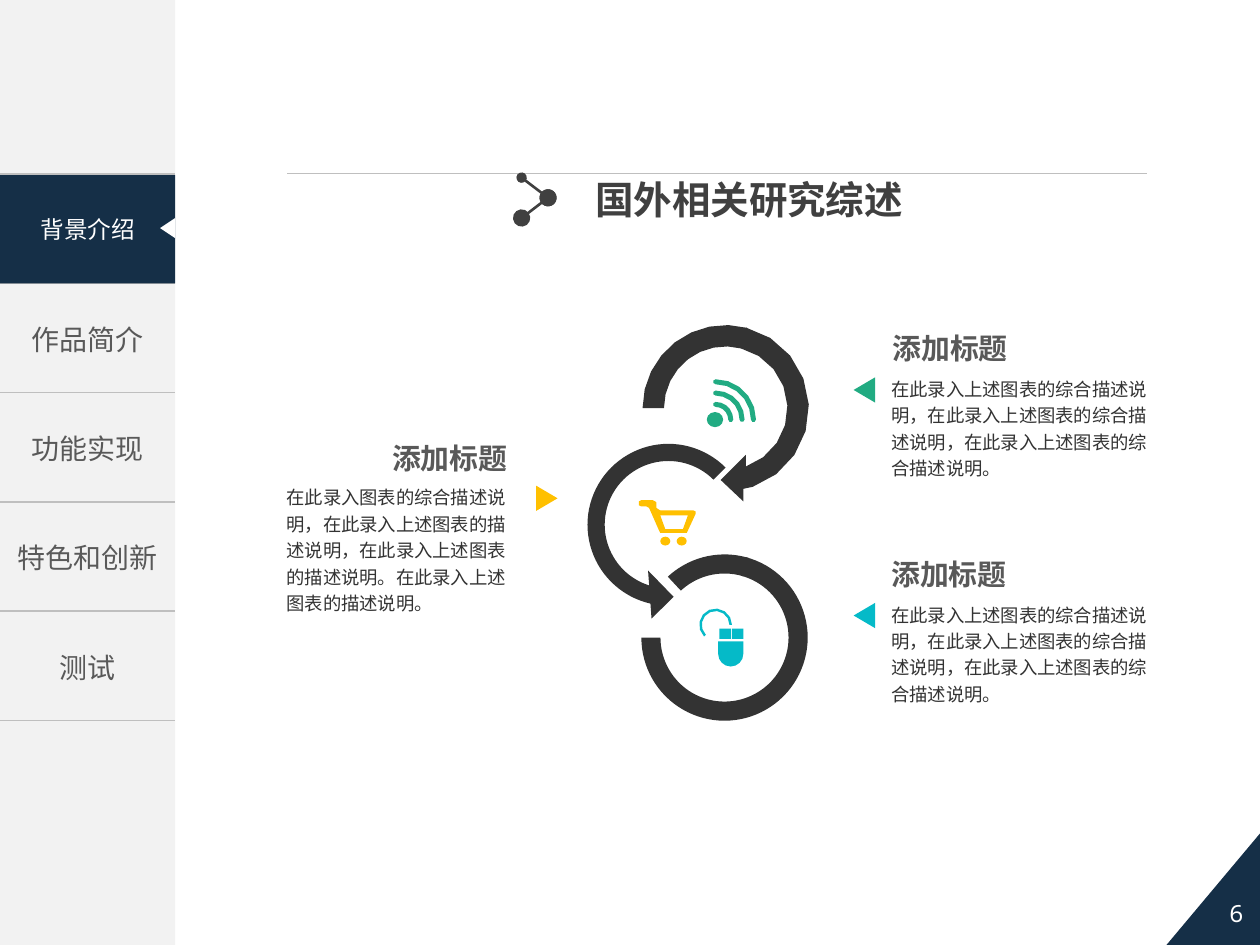
import math

import pptx
import pptx.dml.color
import pptx.enum.shapes
import pptx.enum.text
import pptx.oxml.ns
import pptx.util
from lxml import etree

Inches = pptx.util.Inches
Pt = pptx.util.Pt
RGBColor = pptx.dml.color.RGBColor
Kind = pptx.enum.shapes.MSO_SHAPE
Align = pptx.enum.text.PP_ALIGN
Anchor = pptx.enum.text.MSO_ANCHOR
qn = pptx.oxml.ns.qn

NAVY = RGBColor(0x15, 0x2F, 0x47)
WHITE = RGBColor(0xFF, 0xFF, 0xFF)
PALE = RGBColor(0xF2, 0xF2, 0xF2)
RULE = RGBColor(0xBF, 0xBF, 0xBF)
GREY = RGBColor(0x59, 0x59, 0x59)
DARK = RGBColor(0x40, 0x40, 0x40)
INK = RGBColor(0x33, 0x33, 0x33)
GREEN = RGBColor(0x21, 0xAB, 0x82)
TEAL = RGBColor(0x05, 0xBA, 0xC8)
GOLD = RGBColor(0xFF, 0xC0, 0x00)
FONT = "Noto Sans CJK SC"
SIDE = 1.39
MENU = ["", "作品简介", "功能实现", "特色和创新", "测试"]
LONG = "在此录入上述图表的综合描述说明，在此录入上述图表的综合描述说明，在此录入上述图表的综合描述说明。"
MIXED = ("在此录入图表的综合描述说明，在此录入上述图表的描述说明，"
         "在此录入上述图表的描述说明。在此录入上述图表的描述说明。")


def write(frame, text, size=10.5, color=INK, bold=False, font=FONT,
          align=Align.LEFT, space=None):
    par = frame.paragraphs[0]
    par.alignment = align
    par.line_spacing = space
    run = par.add_run()
    run.text = text
    run.font.size = Pt(size)
    run.font.bold = bold
    run.font.name = font
    run.font.color.rgb = color
    east = etree.SubElement(run.font._element, qn("a:ea"))
    east.set("typeface", FONT)


def inset(frame):
    frame.margin_left = frame.margin_right = Pt(5.4)
    frame.margin_top = frame.margin_bottom = Pt(2.7)


def label(slide, box, text, wrap=True, **style):
    frame = slide.shapes.add_textbox(*map(Inches, box)).text_frame
    inset(frame)
    frame.word_wrap = wrap
    write(frame, text, **style)


def paint(item, color):
    item.shadow.inherit = False
    item.line.fill.background()
    if color is None:
        item.fill.background()
    else:
        item.fill.solid()
        item.fill.fore_color.rgb = color
    return item


def shape(slide, kind, box, color, turn=0, flip=False, adjust=()):
    item = paint(slide.shapes.add_shape(kind, *map(Inches, box)), color)
    item.rotation = turn
    if flip:
        item.element.spPr.get_or_add_xfrm().set("flipH", "1")
    for i, value in enumerate(adjust):
        item.adjustments[i] = value
    return item


def outline(slide, color, *loops):
    """Draw one filled freeform from closed loops of points."""
    loops = [[(Inches(x), Inches(y)) for x, y in loop] for loop in loops]
    pen = slide.shapes.build_freeform(*loops[0][0], scale=1.0)
    for i, loop in enumerate(loops):
        if i:
            pen.move_to(*loop[0])
        pen.add_line_segments(loop[1:], close=True)
    paint(pen.convert_to_shape(), color)


def arc(x, y, r, start, end, steps=8):
    """Points on a circle; angles in degrees, clockwise from the right."""
    turns = [math.radians(start + (end - start) * i / steps)
             for i in range(steps + 1)]
    return [(x + r * math.cos(t), y + r * math.sin(t)) for t in turns]


def band(x, y, outer, inner, start, end, tip=()):
    return arc(x, y, outer, start, end) + list(tip) + arc(x, y, inner, end, start)


def line(slide, start, end, color, width, ends=None):
    item = slide.shapes.add_connector(
        pptx.enum.shapes.MSO_CONNECTOR.STRAIGHT, *map(Inches, start + end))
    item.line.color.rgb = color
    item.line.width = Pt(width)
    for tag, size in zip(("a:headEnd", "a:tailEnd"), ends or ()):
        dot = etree.SubElement(item.line._get_or_add_ln(), qn(tag))
        dot.set("type", "oval")
        dot.set("w", size)
        dot.set("len", size)
    etree.SubElement(item.element.spPr, qn("a:effectLst"))


def border(cell):
    props = cell._tc.get_or_add_tcPr()
    for side in "LRTB":
        edge = etree.SubElement(props, qn("a:ln" + side))
        if side in "LR":
            etree.SubElement(edge, qn("a:noFill"))
        else:
            edge.set("w", str(Pt(1)))
            fill = etree.SubElement(edge, qn("a:solidFill"))
            etree.SubElement(fill, qn("a:srgbClr")).set("val", str(RULE))


def menu(slide):
    shape(slide, Kind.RECTANGLE, (0, 0, SIDE, 7.5), PALE)
    table = slide.shapes.add_table(
        len(MENU), 1, 0, Inches(1.38), Inches(SIDE), Inches(4.34)).table
    table.first_row = table.horz_banding = False
    for i, text in enumerate(MENU):
        cell = table.cell(i, 0)
        border(cell)
        cell.fill.background()
        cell.vertical_anchor = Anchor.MIDDLE
        cell.margin_left = cell.margin_right = Inches(0.07)
        if text:
            write(cell.text_frame, text, size=16, color=GREY, align=Align.CENTER)
    tab = shape(slide, Kind.RECTANGLE, (0, SIDE, SIDE, 0.86), NAVY)
    write(tab.text_frame, "背景介绍", size=13.5, color=WHITE, align=Align.CENTER)
    shape(slide, Kind.ISOSCELES_TRIANGLE, (1.25, 1.75, 0.16, 0.12), WHITE, turn=270)


def corner(slide):
    shape(slide, Kind.RIGHT_TRIANGLE, (9.25, 6.58, 0.78, 0.93), NAVY, flip=True)
    page = shape(slide, Kind.PENTAGON, (9.34, 6.97, 0.81, 0.55), None, flip=True)
    inset(page.text_frame)
    write(page.text_frame, "6", size=13.5, color=WHITE, font="Noto Sans Mono",
          align=Align.CENTER)


def heading(slide):
    line(slide, (2.28, 1.38), (9.1, 1.38), RULE, 0.5)
    label(slide, (4.65, 1.36, 2.62, 0.45), "国外相关研究综述", wrap=False,
          size=22, color=DARK, bold=True, font="Arial")
    line(slide, (4.14, 1.41), (4.35, 1.57), DARK, 1.5, ("med", "lg"))
    line(slide, (4.35, 1.57), (4.14, 1.73), DARK, 1.5, ("lg", "lg"))


def note(slide, head, body, text, mark, color, turn, align=Align.LEFT):
    label(slide, head + (1.08, 0.35), "添加标题", wrap=False, size=16.5,
          color=GREY, bold=True, align=align)
    shape(slide, Kind.ISOSCELES_TRIANGLE, mark + (0.2, 0.17), color, turn=turn)
    label(slide, body, text, space=1.2)


def chain(slide):
    shape(slide, Kind.LEFT_CIRCULAR_ARROW, (4.54, 3.4, 1.53, 1.53), INK,
          adjust=(0.089, 11.42, 62.94, 189, 0.125))
    for start, end in ((136.24, 172.28), (170.85, 108)):
        shape(slide, Kind.BLOCK_ARC, (5.09, 4.4, 1.32, 1.32), INK,
              adjust=(start, end, 0.115))
    x, y, outer, inner = 5.76, 3.24, 0.66, 0.49
    head = [(5.9, 3.88), (5.9, 3.98), (5.72, 3.81), (5.92, 3.61), (5.92, 3.71)]
    outline(slide, INK, band(x, y, outer, inner, 180, 285))
    outline(slide, INK, band(x, y, outer, inner, 284, 431, head))


def signal(slide):
    x, y, half = 5.68, 3.33, 0.02
    shape(slide, Kind.OVAL, (5.61, 3.27, 0.13, 0.12), GREEN)
    for r in (0.12, 0.21, 0.3):
        outline(slide, GREEN,
                arc(x, y, r + half, -90, 0, 5) + arc(x + r, y, half, 0, 180, 3)
                + arc(x, y, r - half, 0, -90, 5) + arc(x, y - r, half, 90, 270, 3))


def cart(slide):
    for x in (5.24, 5.37):
        shape(slide, Kind.OVAL, (x, 4.26, 0.08, 0.07), GOLD)
    body = [(5.5, 4.05), (5.24, 4.05), (5.22, 4.04), (5.21, 4.03), (5.21, 3.99),
            (5.2, 3.98), (5.18, 3.97), (5.09, 3.97), (5.07, 3.98), (5.07, 4.01),
            (5.09, 4.02), (5.13, 4.02), (5.15, 4.03), (5.16, 4.05), (5.23, 4.21),
            (5.24, 4.23), (5.27, 4.23), (5.42, 4.23), (5.45, 4.23), (5.46, 4.21),
            (5.52, 4.08), (5.52, 4.06)]
    hole = [(5.42, 4.2), (5.28, 4.2), (5.24, 4.09), (5.46, 4.09)]
    outline(slide, GOLD, body, hole)


def mouse(slide):
    keys = [[(x, 4.99), (x + 0.09, 4.99), (x + 0.09, 5.07), (x, 5.07)]
            for x in (5.71, 5.81)]
    base = [(5.7, 5.09), (5.9, 5.09)] + arc(5.8, 5.19, 0.1, 0, 180)
    outline(slide, TEAL, *keys, base)
    outline(slide, TEAL, band(5.68, 4.96, 0.13, 0.11, 135, 360))


def main():
    deck = pptx.Presentation()
    deck.slide_width, deck.slide_height = Inches(10), Inches(7.5)
    slide = deck.slides.add_slide(deck.slide_layouts[6])
    menu(slide)
    corner(slide)
    heading(slide)
    note(slide, (7.01, 2.59), (7, 2.93, 2.31, 0.92), LONG, (6.76, 3.01), GREEN, 270)
    note(slide, (7, 4.38), (7, 4.72, 2.31, 0.92), LONG, (6.76, 4.8), TEAL, 270)
    note(slide, (3.02, 3.46), (2.2, 3.79, 2, 1.14), MIXED, (4.24, 3.87), GOLD, 90,
         Align.RIGHT)
    chain(slide)
    signal(slide)
    cart(slide)
    mouse(slide)
    deck.save("out.pptx")


if __name__ == "__main__":
    main()
